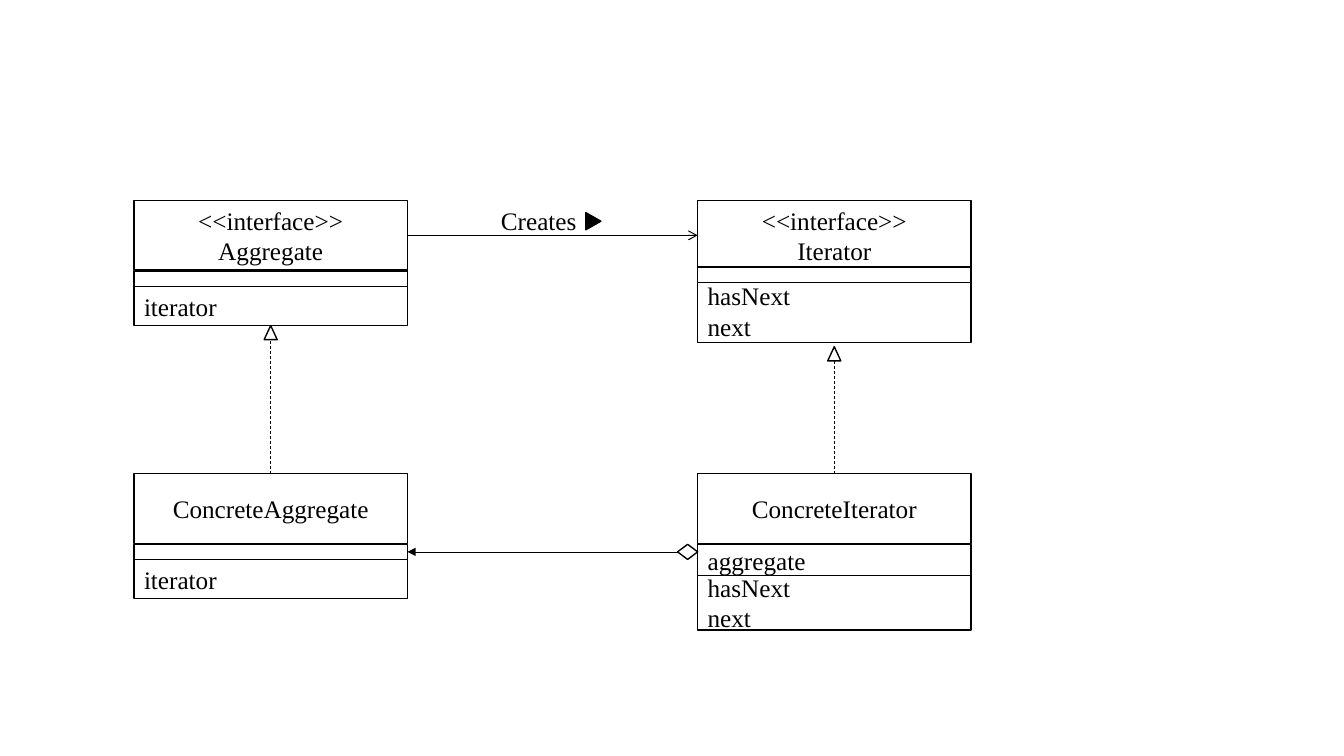
"""Build the UML class diagram of the Iterator pattern."""
from lxml.etree import SubElement
from pptx import Presentation
from pptx.dml.color import RGBColor
from pptx.enum.dml import MSO_LINE
from pptx.enum.shapes import MSO_CONNECTOR, MSO_SHAPE as SHAPE
from pptx.enum.text import MSO_ANCHOR, MSO_AUTO_SIZE, PP_ALIGN as ALIGN
from pptx.oxml.ns import qn
from pptx.util import Inches, Pt

COLORS = {"ink": "000000", "paper": "FFFFFF"}
FONT = "Times New Roman"
BOX_WIDTH = 2.71
LEFT_COLUMN, RIGHT_COLUMN = 1.33, 6.92
LEFT_EDGE = LEFT_COLUMN + BOX_WIDTH
TOP_ROW, BOTTOM_ROW = 1.99, 4.7
NAME_HEIGHT = 0.69
BAND_HEIGHT = 0.15


def color(name):
    return RGBColor.from_string(COLORS[name])


def write_lines(frame, lines, align=ALIGN.LEFT):
    frame.text = "\n".join(lines)
    for paragraph in frame.paragraphs:
        paragraph.alignment = align
        paragraph.font.name = FONT
        paragraph.font.size = Pt(18)
        paragraph.font.color.rgb = color("ink")


def add_outlined(slide, kind, left, top, width, height, fill="paper"):
    shape = slide.shapes.add_shape(
        kind, Inches(left), Inches(top), Inches(width), Inches(height))
    shape.shadow.inherit = False
    shape.fill.solid()
    shape.fill.fore_color.rgb = color(fill)
    shape.line.color.rgb = color("ink")
    shape.line.width = Pt(1)
    return shape


def add_compartment(slide, left, top, height, lines, align=ALIGN.LEFT):
    shape = add_outlined(slide, SHAPE.RECTANGLE, left, top, BOX_WIDTH, height)
    if lines:
        shape.text_frame.word_wrap = True
        shape.text_frame.vertical_anchor = MSO_ANCHOR.MIDDLE
        write_lines(shape.text_frame, lines, align)


def add_class(slide, left, top, name, operations, attributes):
    """Each of operations and attributes is (top, height, lines)."""
    add_compartment(slide, left, top, NAME_HEIGHT, name, ALIGN.CENTER)
    for part_top, height, lines in (operations, attributes):
        add_compartment(slide, left, part_top, height, lines)


def add_line(slide, start, end, width, dashed=False, arrow=None):
    line = slide.shapes.add_connector(
        MSO_CONNECTOR.STRAIGHT, *map(Inches, (*start, *end)))
    line.line.color.rgb = color("ink")
    line.line.width = Pt(width)
    if dashed:
        line.line.dash_style = MSO_LINE.DASH
    if arrow:
        SubElement(line.line._get_or_add_ln(), qn("a:tailEnd"), type=arrow)
    SubElement(line._element.spPr, qn("a:effectLst"))


def add_realization(slide, column, top):
    center, height = column + BOX_WIDTH / 2, 0.14
    add_outlined(slide, SHAPE.ISOSCELES_TRIANGLE, center - 0.065, top, 0.13, height)
    add_line(slide, (center, BOTTOM_ROW), (center, top + height), 0.5, dashed=True)


def add_aggregation(slide):
    top, width = 5.4, 0.2
    left, middle = RIGHT_COLUMN - width, top + BAND_HEIGHT / 2
    add_outlined(slide, SHAPE.DIAMOND, left, top, width, BAND_HEIGHT)
    add_line(slide, (left, middle), (LEFT_EDGE, middle), 0.5, arrow="triangle")


def add_creates(slide):
    middle = TOP_ROW + NAME_HEIGHT / 2
    add_line(slide, (LEFT_EDGE, middle), (RIGHT_COLUMN, middle), 0.75, arrow="arrow")
    label = slide.shapes.add_textbox(
        Inches(4.87), Inches(TOP_ROW), Inches(1.01), Inches(0.4))
    label.text_frame.word_wrap = False
    label.text_frame.auto_size = MSO_AUTO_SIZE.SHAPE_TO_FIT_TEXT
    write_lines(label.text_frame, ["Creates"])
    pointer = add_outlined(
        slide, SHAPE.ISOSCELES_TRIANGLE, 5.8, 2.12, 0.17, 0.15, fill="ink")
    pointer.rotation = 90


def main():
    presentation = Presentation()
    presentation.slide_width = Inches(13.33)
    presentation.slide_height = Inches(7.5)
    slide = presentation.slides.add_slide(presentation.slide_layouts[6])

    add_class(slide, LEFT_COLUMN, TOP_ROW, ["<<interface>>", "Aggregate"],
              (2.84, 0.39, ["iterator"]), (2.69, BAND_HEIGHT, []))
    add_class(slide, RIGHT_COLUMN, TOP_ROW, ["<<interface>>", "Iterator"],
              (2.77, 0.63, ["hasNext", "next"]), (2.65, BAND_HEIGHT, []))
    add_class(slide, LEFT_COLUMN, BOTTOM_ROW, ["ConcreteAggregate"],
              (5.55, 0.39, ["iterator"]), (5.4, BAND_HEIGHT, []))
    add_class(slide, RIGHT_COLUMN, BOTTOM_ROW, ["ConcreteIterator"],
              (5.7, 0.55, ["hasNext", "next"]), (5.4, 0.31, ["aggregate"]))

    add_aggregation(slide)
    add_realization(slide, LEFT_COLUMN, 3.23)
    add_realization(slide, RIGHT_COLUMN, 3.44)
    add_creates(slide)
    presentation.save("out.pptx")


if __name__ == "__main__":
    main()
